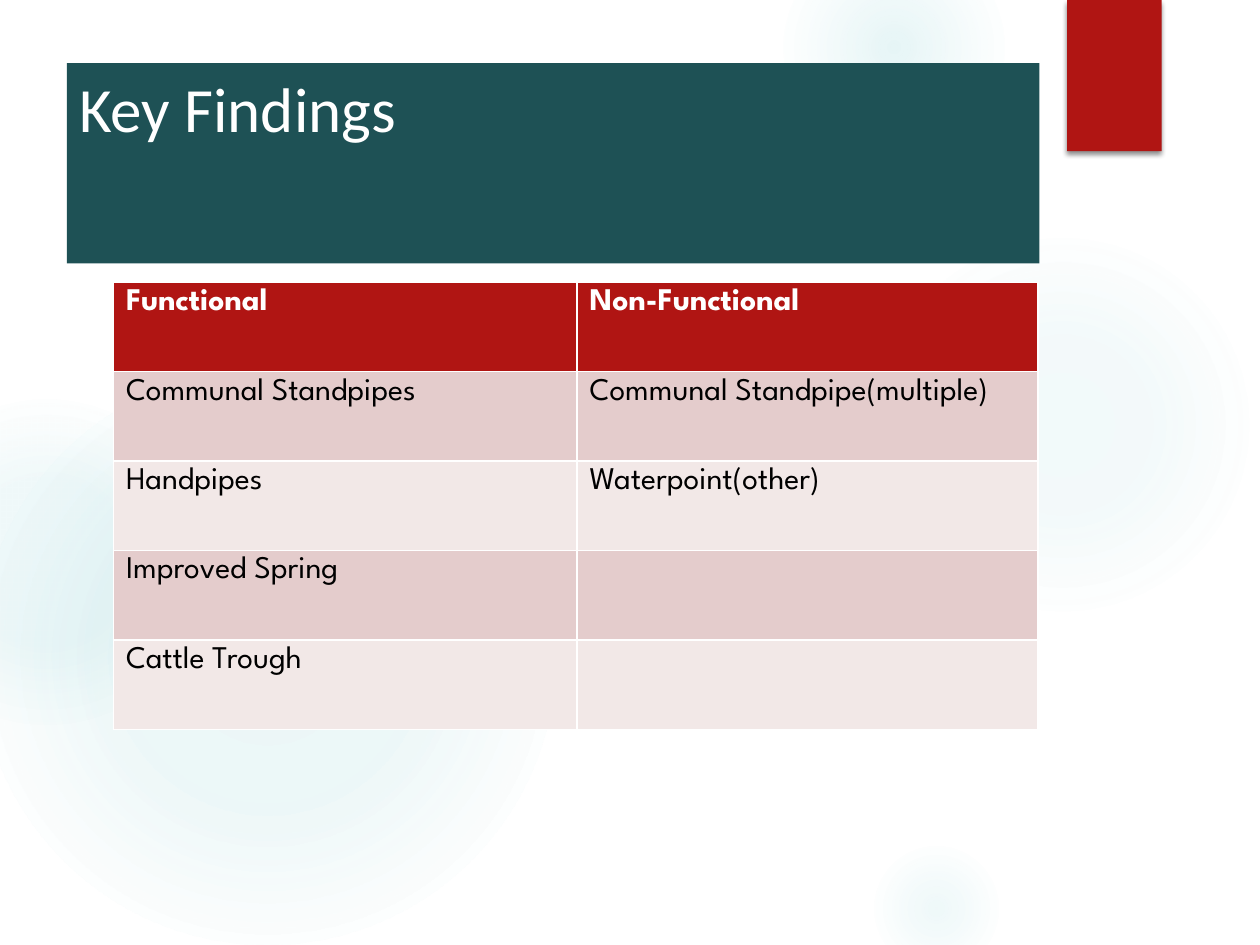
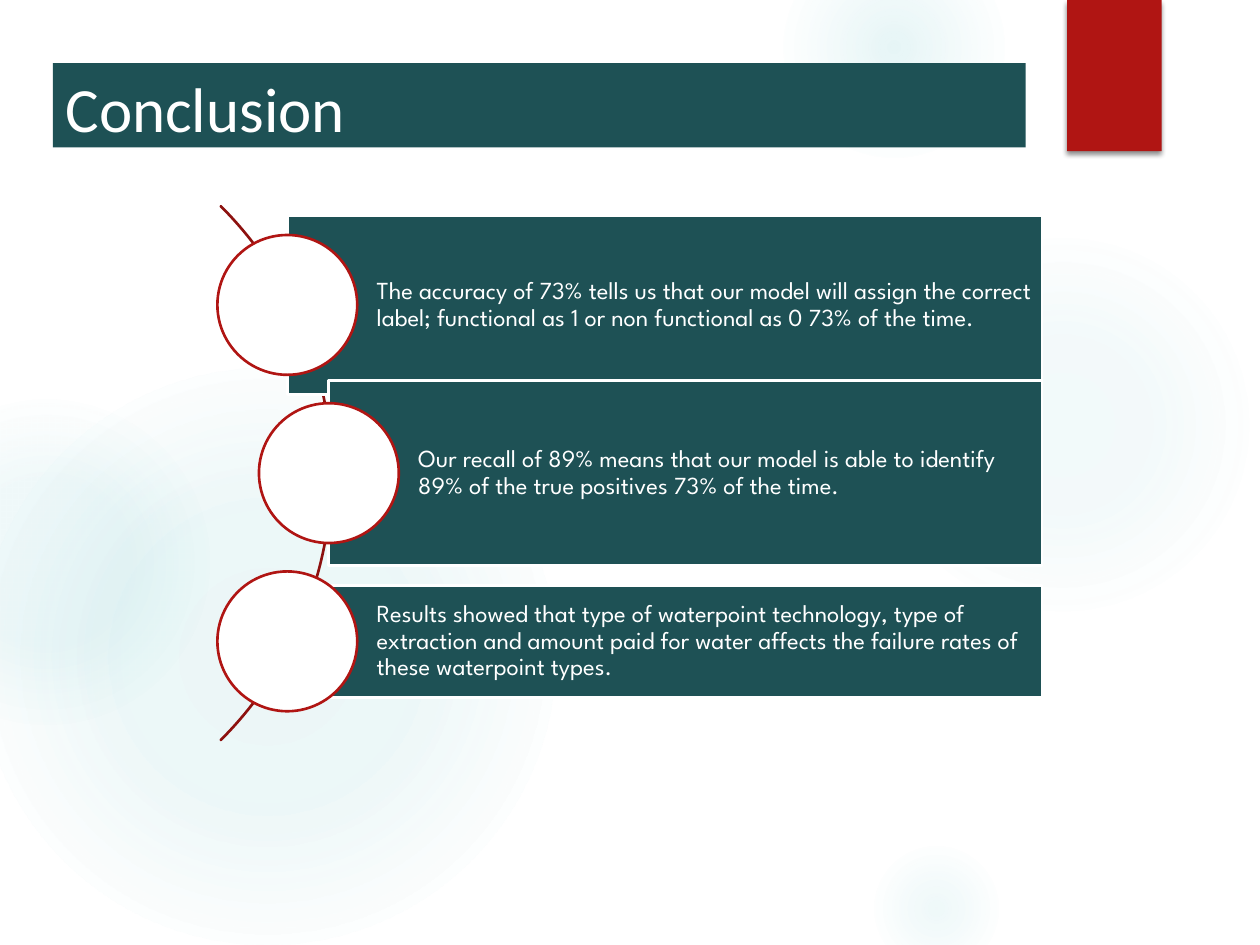
from lxml import etree
from pptx import Presentation, util as u
from pptx.dml.color import RGBColor
from pptx.enum import shapes, text
from pptx.oxml import parse_xml
from pptx.oxml.ns import nsdecls, qn

WHITE = RGBColor(0xFF, 0xFF, 0xFF)
BLACK = RGBColor(0, 0, 0)
TEAL = RGBColor(0x1E, 0x51, 0x55)
AQUA = RGBColor(0x50, 0xB9, 0xC1)
RED = RGBColor(0xB0, 0x15, 0x13)
DARK_RED = RGBColor(0x8D, 0x11, 0x0F)
ROSE = RGBColor(0xE4, 0xCC, 0xCC)
PALE_ROSE = RGBColor(0xF2, 0xE8, 0xE7)

TITLE_FONT = "Calibri"
BODY_FONT = "League Spartan"
TITLE_LAYOUT = 5
SLIDE_W, SLIDE_H = u.Inches(10), u.Inches(7.5)
COLUMNS = 100

GLOWS = [
    (68.9, 18.3, 30.8, ((0, 7), (36, 6), (69, 0))),
    (62.2, -5, 17.5, ((0, 14), (36, 7), (73, 0))),
    (68.9, 66.7, 10.8, ((0, 9), (36, 5), (66, 0))),
    (-1.7, 29.2, 45.8, ((0, 11), (36, 10), (75, 0))),
    (-9.2, 31.7, 25.8, ((0, 8), (36, 8), (72, 0))),
]
FINDINGS = [
    ("Functional", "Non-Functional"),
    ("Communal Standpipes", "Communal Standpipe(multiple)"),
    ("Handpipes", "Waterpoint(other)"),
    ("Improved Spring", ""),
    ("Cattle Trough", ""),
]
CONCLUSIONS = [
    (22.8, 14.2, "The accuracy of 73% tells us that our model will assign the "
     "correct label; functional as 1 or non functional as 0 73% of the time."),
    (26.1, 14.7, "Our recall of 89% means that our model is able to identify "
     "89% of the true positives 73% of the time.\u00a0"),
    (22.8, 8.9, "Results showed that type of waterpoint technology, type of "
     "extraction and amount paid for water affects the failure rates of these "
     "waterpoint types."),
]


def grid(*cells):
    return [round(SLIDE_W * c / COLUMNS) for c in cells]


def style_font(p, name, size, color, bold=False):
    p.font.name = name
    p.font.size = u.Pt(size)
    p.font.color.rgb = color
    p.font.bold = bold


def add_figure(s, kind, box, fill=None, line=None):
    sp = s.shapes.add_shape(kind, *grid(*box))
    sp.shadow.inherit = False
    if fill is None:
        sp.fill.background()
    else:
        sp.fill.solid()
        sp.fill.fore_color.rgb = fill
    if line is None:
        sp.line.fill.background()
    else:
        sp.line.color.rgb = line
        sp.line.width = u.Pt(1.5)
    return sp


def add_glow(s, left, top, size, stops):
    sp = add_figure(s, shapes.MSO_SHAPE.OVAL, (left, top, size, size))
    colors = "".join(
        f'<a:gs pos="{pos * 1000}"><a:srgbClr val="{AQUA}">'
        f'<a:alpha val="{alpha * 1000}"/></a:srgbClr></a:gs>'
        for pos, alpha in stops)
    gradient = parse_xml(
        f'<a:gradFill {nsdecls("a")} rotWithShape="1"><a:gsLst>{colors}</a:gsLst>'
        '<a:path path="circle"><a:fillToRect l="50000" t="50000" r="50000" '
        'b="50000"/></a:path></a:gradFill>')
    sp_pr = sp.element.spPr
    sp_pr.replace(sp_pr.find(qn("a:noFill")), gradient)
    return sp


def add_ribbon(s):
    sp = add_figure(s, shapes.MSO_SHAPE.RECTANGLE, (84.7, 0, 7.5, 12), RED)
    effects = sp.element.spPr.find(qn("a:effectLst"))
    shadow = etree.SubElement(
        effects, qn("a:outerShdw"), blurRad=str(u.Pt(3)), dist=str(u.Pt(2)),
        dir="5400000", rotWithShape="0")
    color = etree.SubElement(shadow, qn("a:srgbClr"), val=str(BLACK))
    etree.SubElement(color, qn("a:alpha"), val="45000")
    return sp


def decorate_master(prs, s):
    decor = [add_glow(s, *glow) for glow in GLOWS] + [add_ribbon(s)]
    for number, sp in enumerate(decor, 101):
        sp.element.nvSpPr.cNvPr.set("id", str(number))
        prs.slide_master.shapes.element.append(sp.element)


def add_titled_slide(prs, title, left, height):
    s = prs.slides.add_slide(prs.slide_layouts[TITLE_LAYOUT])
    sp = s.shapes.title
    sp.left, sp.top, sp.width, sp.height = grid(left, 5, 77.2, height)
    sp.fill.solid()
    sp.fill.fore_color.rgb = TEAL
    tf = sp.text_frame
    tf.text = title
    tf.auto_size = text.MSO_AUTO_SIZE.NONE
    tf.vertical_anchor = text.MSO_ANCHOR.TOP
    p = tf.paragraphs[0]
    p.alignment = text.PP_ALIGN.LEFT
    style_font(p, TITLE_FONT, 36, WHITE)
    return s


def add_findings_table(s):
    frame = s.shapes.add_table(len(FINDINGS), 2, *grid(9, 22.4, 73.4, 35.5))
    table = frame.table
    for column, width in zip(table.columns, grid(36.8, 36.6)):
        column.width = width
    for i, row in enumerate(FINDINGS):
        header = i == 0
        fill = RED if header else (PALE_ROSE, ROSE)[i % 2]
        for j, words in enumerate(row):
            cell = table.cell(i, j)
            cell.fill.solid()
            cell.fill.fore_color.rgb = fill
            cell.text = words
            style_font(cell.text_frame.paragraphs[0], BODY_FONT, 18,
                       WHITE if header else BLACK, header)


def add_conclusion(s, center_x, center_y, height, words):
    right, diameter = 82.7, 11.1
    box = (center_x, center_y - height / 2, right - center_x, height)
    sp = add_figure(s, shapes.MSO_SHAPE.RECTANGLE, box, TEAL, WHITE)
    tf = sp.text_frame
    tf.word_wrap = True
    tf.vertical_anchor = text.MSO_ANCHOR.MIDDLE
    tf.margin_left, tf.margin_top, tf.margin_right, tf.margin_bottom = grid(
        7.1, 0.4, 0.4, 0.4)
    tf.text = words
    p = tf.paragraphs[0]
    p.alignment = text.PP_ALIGN.LEFT
    p.line_spacing = 0.9
    style_font(p, BODY_FONT, 14, WHITE)
    add_figure(s, shapes.MSO_SHAPE.OVAL,
               (center_x - diameter / 2, center_y - diameter / 2,
                diameter, diameter), WHITE, RED)


def add_conclusions(s):
    first_center, step = 24.2, 13.35
    arc = add_figure(s, shapes.MSO_SHAPE.BLOCK_ARC, (-33.6, 7.6, 59.9, 59.9),
                     line=DARK_RED)
    for i, value in enumerate((189, 27, 0)):
        arc.adjustments[i] = value
    for i, (center_x, height, words) in enumerate(CONCLUSIONS):
        add_conclusion(s, center_x, first_center + i * step, height, words)


def main():
    prs = Presentation()
    prs.slide_width, prs.slide_height = SLIDE_W, SLIDE_H
    findings = add_titled_slide(prs, "Key Findings", 5.3, 15.9)
    decorate_master(prs, findings)
    add_findings_table(findings)
    add_conclusions(add_titled_slide(prs, "Conclusion", 4.2, 6.7))
    prs.save("out.pptx")


if __name__ == "__main__":
    main()
